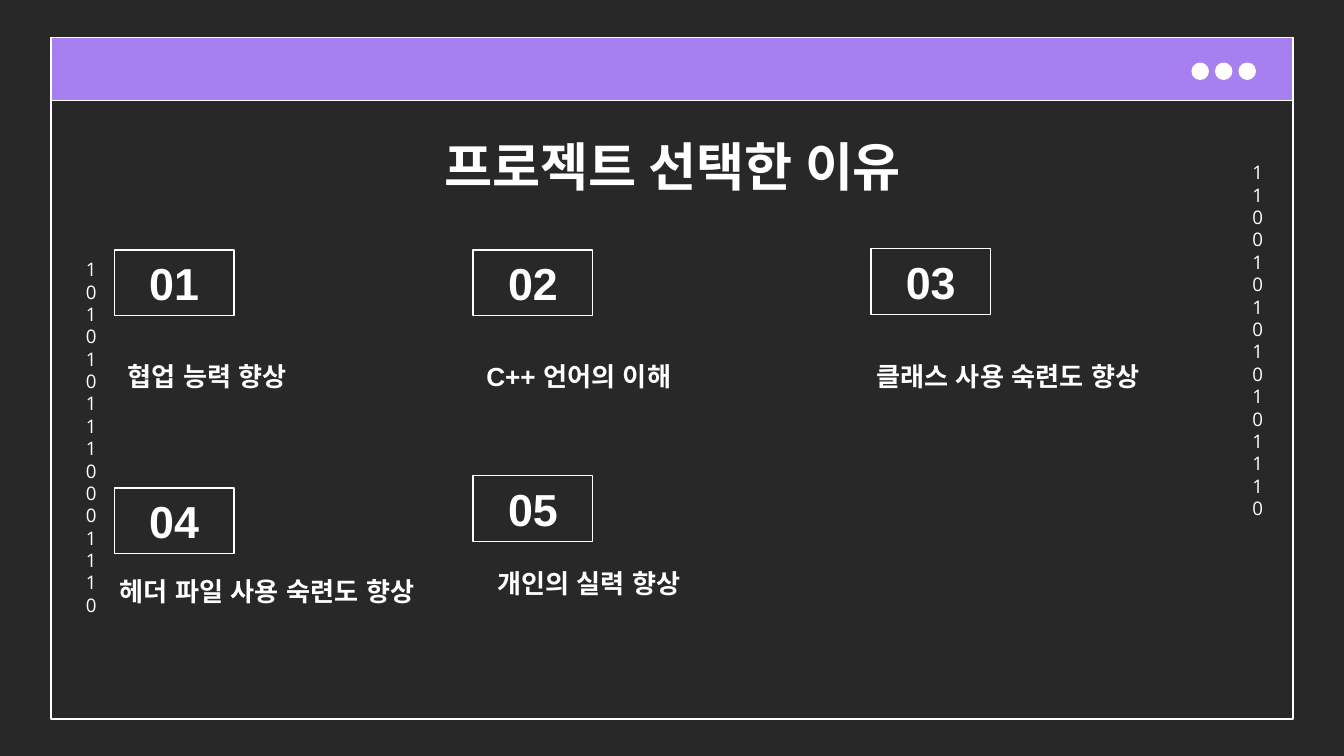
"""Build the slide listing the five reasons for choosing the project."""
import lxml.etree
import pptx
import pptx.util
import pptx.dml.color
import pptx.enum.shapes
import pptx.enum.text
import pptx.oxml.ns

Inches, Pt = pptx.util.Inches, pptx.util.Pt
RGBColor = pptx.dml.color.RGBColor
MSO_SHAPE = pptx.enum.shapes.MSO_SHAPE
ANCHOR = pptx.enum.text.MSO_ANCHOR
ALIGN = pptx.enum.text.PP_ALIGN

DARK = RGBColor(0x29, 0x28, 0x28)
PURPLE = RGBColor(0xA6, 0x7F, 0xF1)
WHITE = RGBColor(0xFF, 0xFF, 0xFF)

WIDTH = 10
HEIGHT = WIDTH * 9 / 16
MARGIN, TOP = 0.38, 0.28
FRAME_W = WIDTH - 2 * MARGIN
COLUMNS = (0.85, 3.52, 6.48)
ROWS = (1.86, 3.63)
CAPTION_ROWS = (2.58, 4.18)
CAPTION_HEIGHTS = (0.56, 0.63)
DOT, DOT_STEP = 0.12, 0.175

TITLE = "프로젝트 선택한 이유"
REASONS = [
    {"text": "협업 능력 향상"},
    {"text": "C++ 언어의 이해"},
    {"text": "클래스 사용 숙련도 향상", "box_dy": -0.01, "dx": -0.06},
    {"text": "헤더 파일 사용 숙련도 향상", "dx": -0.06},
    {"text": "개인의 실력 향상", "box_dy": -0.09, "dx": 0.08, "dy": -0.06},
]
DIGITS = [
    (9.22, 1.1, ["1100101010101110"]),
    (0.54, 1.82, ["101010111000111", "0"]),
]

HEADING = {"size": Pt(28), "name": "Lato", "bold": True}
NUMBER = {"size": Pt(24), "name": "Arial", "bold": True}
CAPTION = {"size": Pt(14), "name": "Arial", "bold": True}
BINARY = {"size": Pt(10), "name": "Open Sans", "bold": False}


def place(*lengths):
    return [Inches(v) for v in lengths]


def write(s, lines, font, align=ALIGN.CENTER, anchor=ANCHOR.TOP, spacing=None):
    tf = s.text_frame
    frame = {"word_wrap": True, "vertical_anchor": anchor,
             "auto_size": pptx.enum.text.MSO_AUTO_SIZE.NONE}
    frame.update({f"margin_{side}": Inches(0.1)
                  for side in ("left", "top", "right", "bottom")})
    for key, value in frame.items():
        setattr(tf, key, value)
    for i, line in enumerate(lines):
        p = tf.add_paragraph() if i else tf.paragraphs[0]
        p.alignment, p.line_spacing = align, spacing
        p.space_before = Pt(0)
        r = p.add_run()
        r.text = line
        for key, value in font.items():
            setattr(r.font, key, value)
        r.font.color.rgb = WHITE
        lxml.etree.SubElement(r._r.get_or_add_rPr(), pptx.oxml.ns.qn("a:ea"),
                              typeface=font["name"])


def outlined(shapes, kind, at, fill=None):
    s = shapes.add_shape(kind, *place(*at))
    s.shadow.inherit = False
    if fill is None:
        s.fill.background()
    else:
        s.fill.solid()
        s.fill.fore_color.rgb = fill
    s.line.color.rgb = WHITE
    s.line.width = Pt(0.75)
    return s


def add_window(shapes):
    rect = MSO_SHAPE.RECTANGLE
    outlined(shapes, rect, (MARGIN, TOP, FRAME_W, 5.07))
    outlined(shapes, rect, (MARGIN, TOP, FRAME_W, 0.47), PURPLE)
    for i in range(3):
        outlined(shapes, MSO_SHAPE.OVAL,
                 (8.87 + i * DOT_STEP, 0.47, DOT, DOT), WHITE)


def add_reason(shapes, i, reason):
    row, col = divmod(i, len(COLUMNS))
    x = COLUMNS[col]
    s = outlined(shapes, MSO_SHAPE.RECTANGLE,
                 (x, ROWS[row] + reason.get("box_dy", 0), 0.89, 0.49))
    write(s, [f"{i + 1:02d}"], NUMBER, anchor=ANCHOR.MIDDLE)
    s = shapes.add_textbox(*place(x + reason.get("dx", 0),
                                  CAPTION_ROWS[row] + reason.get("dy", 0),
                                  2.79, CAPTION_HEIGHTS[row]))
    write(s, [reason["text"]], CAPTION, ALIGN.LEFT)


def main():
    prs = pptx.Presentation()
    prs.slide_width, prs.slide_height = place(WIDTH, HEIGHT)
    slide = prs.slides.add_slide(prs.slide_layouts[5])
    slide.background.fill.solid()
    slide.background.fill.fore_color.rgb = DARK
    shapes = slide.shapes

    title = shapes.title
    title.left, title.top, title.width, title.height = place(0.79, 0.9, 8.43, 0.63)
    write(title, [TITLE], HEADING)

    add_window(shapes)
    for x, y, lines in DIGITS:
        s = shapes.add_textbox(*place(x, y, 0.24, 2.8))
        write(s, lines, BINARY, spacing=Pt(12))
    for i, reason in enumerate(REASONS):
        add_reason(shapes, i, reason)
    prs.save("out.pptx")


if __name__ == "__main__":
    main()
